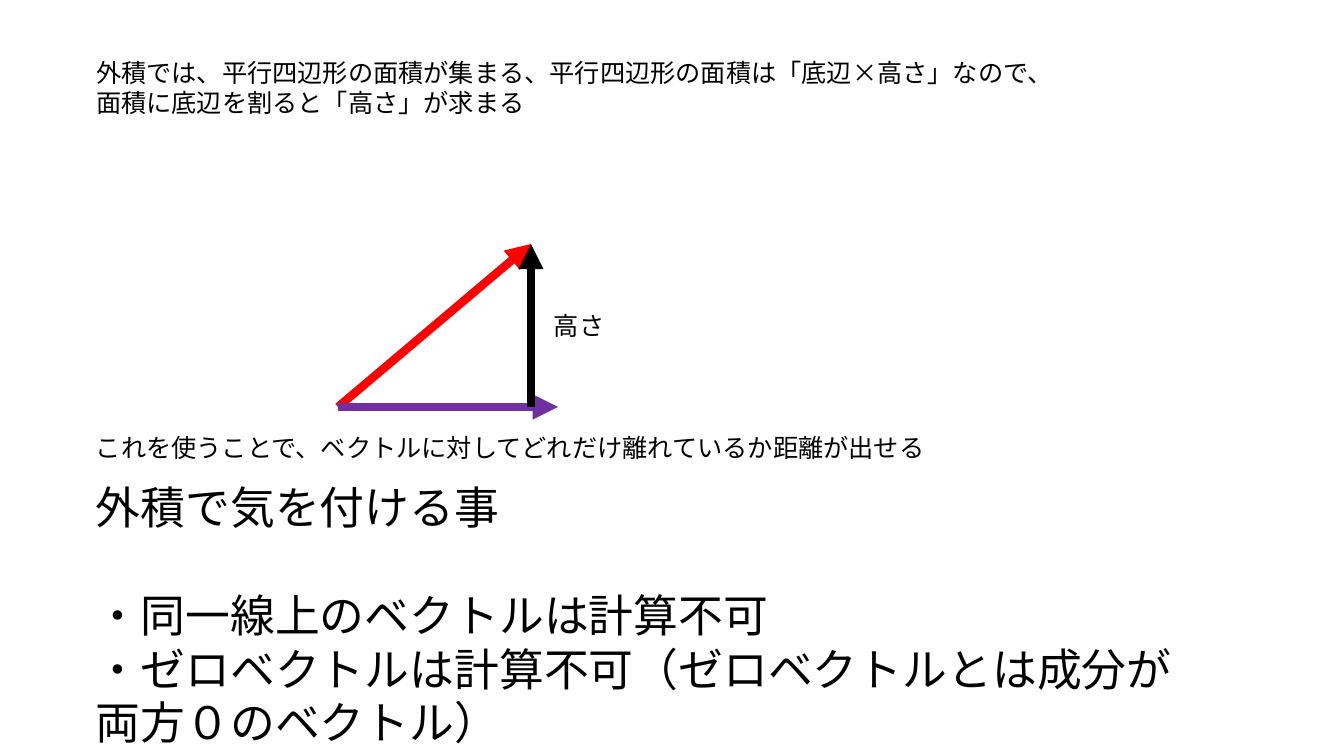
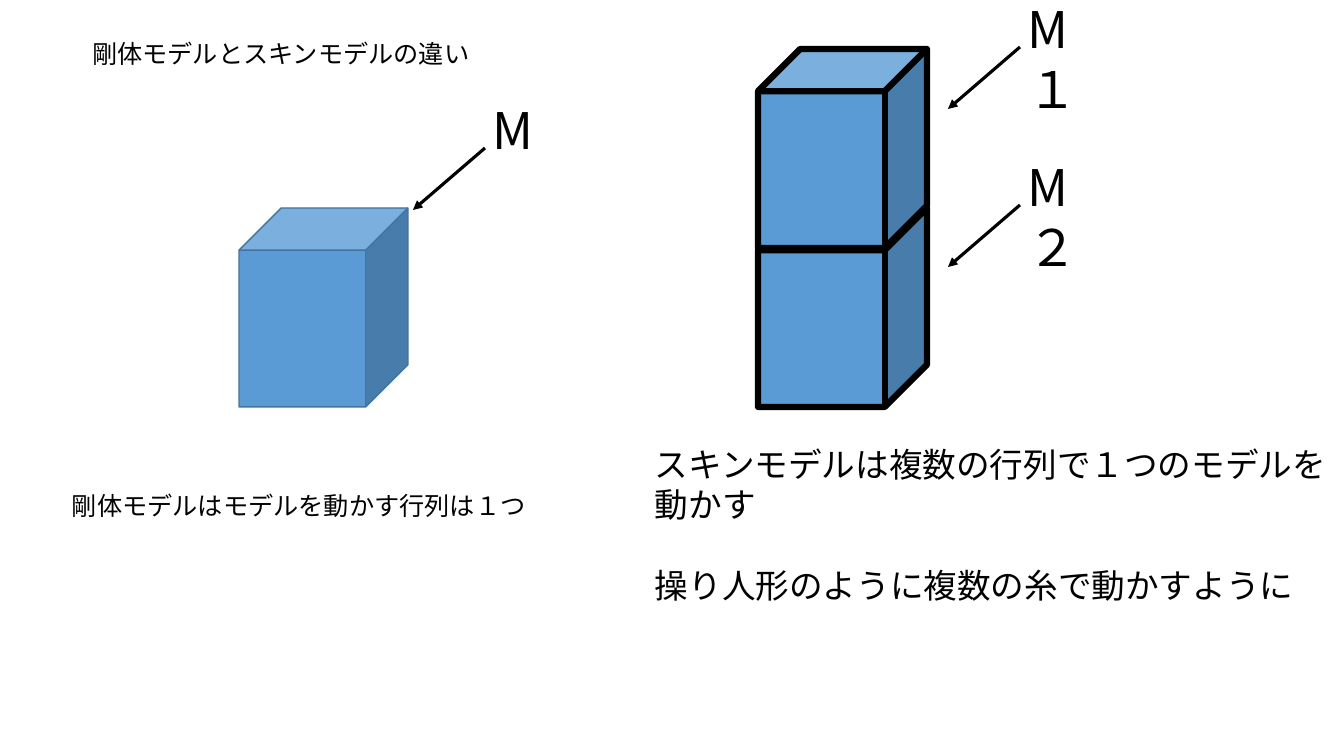
from lxml.etree import SubElement
from pptx import Presentation
from pptx.dml.color import RGBColor
from pptx.enum.lang import MSO_LANGUAGE_ID
from pptx.enum.shapes import MSO_CONNECTOR, MSO_SHAPE
from pptx.enum.text import MSO_ANCHOR, MSO_AUTO_SIZE, PP_ALIGN
from pptx.oxml.ns import qn
from pptx.util import Emu, Pt

FONT = "Noto Sans CJK JP"
BLACK = RGBColor(0x00, 0x00, 0x00)
RED = RGBColor(0xFF, 0x00, 0x00)
PURPLE = RGBColor(0x70, 0x30, 0xA0)
BLUE = RGBColor(0x5B, 0x9B, 0xD5)
DARK_BLUE = RGBColor(0x43, 0x73, 0x9E)

SLIDE_W, SLIDE_H = 1344, 756
EMU_PER_PX = 914400 / 100.8
LINE_HEIGHT = 1.2
GAP = "gap"  # the next paragraph starts one line lower

# Titles and texts: box (left, top, width, height), size, paragraphs
HEIGHT_TITLE = ((86, 52, 1100, 72), 18, [
    "外積では、平行四辺形の面積が集まる、平行四辺形の面積は「底辺×高さ」なので、",
    "面積に底辺を割ると「高さ」が求まる",
])
HEIGHT_TEXTS = [
    ((86, 427, 900, 40), 18, ["これを使うことで、ベクトルに対してどれだけ離れているか距離が出せる"]),
    ((86, 475, 1108, 281), 32, [
        "外積で気を付ける事",
        GAP,
        "・同一線上のベクトルは計算不可",
        "・ゼロベクトルは計算不可（ゼロベクトルとは成分が両方０のベクトル）",
    ]),
    ((544, 305, 72, 40), 18, ["高さ"]),
]
ORIGIN, APEX, FOOT, BASE_END = (338, 407), (531, 244), (531, 407), (558, 407)
VECTORS = [(ORIGIN, APEX, RED), (ORIGIN, BASE_END, PURPLE), (FOOT, APEX, BLACK)]

MODEL_TITLE = ((82, 33, 402, 40), 18, ["剛体モデルとスキンモデルの違い"])
MODEL_TEXTS = [
    ((62, 485, 479, 40), 18, ["剛体モデルはモデルを動かす行列は１つ"]),
    ((645, 439, 699, 173), 24, [
        "スキンモデルは複数の行列で１つのモデルを",
        "動かす",
        GAP,
        "操り人形のように複数の糸で動かすように",
    ]),
]
CUBE_W, CUBE_H, CUBE_TOP = 169, 199, 208
RIGID_X, SKIN_X, STACK_STEP = 239, 758, 159
# Matrix labels: text, where the arrow starts, width of the label
MATRICES = [("M", (485, 148), 68), ("M１", (1020, 47), 90), ("M２", (1020, 205), 90)]
ARROW_DX, ARROW_DY = -72, 62


def px(*lengths):
    return [Emu(round(n * EMU_PER_PX)) for n in lengths]


def fill_text(s, size, paragraphs):
    tf = s.text_frame
    tf.word_wrap = True
    tf.auto_size = MSO_AUTO_SIZE.NONE
    tf.vertical_anchor = MSO_ANCHOR.TOP
    p, gap = None, False
    for text in paragraphs:
        if text == GAP:
            gap = True
            continue
        p = tf.paragraphs[0] if p is None else tf.add_paragraph()
        p.alignment = PP_ALIGN.LEFT
        p.space_before = Pt(size * LINE_HEIGHT if gap else 0)
        gap = False
        r = p.add_run()
        r.text = text
        r.font.size = Pt(size)
        r.font.name = FONT
        r.font.color.rgb = BLACK
        r.font.language_id = MSO_LANGUAGE_ID.JAPANESE
        SubElement(r.font._element, qn("a:ea"), typeface=FONT)


def add_text(slide, box, size, paragraphs):
    fill_text(slide.shapes.add_textbox(*px(*box)), size, paragraphs)


def add_slide(prs, title, texts):
    slide = prs.slides.add_slide(prs.slide_layouts[5])
    box, size, paragraphs = title
    s = slide.shapes.title
    s.left, s.top, s.width, s.height = px(*box)
    fill_text(s, size, paragraphs)
    for text in texts:
        add_text(slide, *text)
    return slide


def add_arrow(slide, start, end, color, weight):
    s = slide.shapes.add_connector(MSO_CONNECTOR.STRAIGHT, *px(*start, *end))
    s.line.color.rgb = color
    s.line.width = Pt(weight)
    SubElement(s.line._get_or_add_ln(), qn("a:tailEnd"), type="triangle")
    SubElement(s._element.spPr, qn("a:effectLst"))


def add_cube(shapes, left, top, color, weight):
    s = shapes.add_shape(MSO_SHAPE.CUBE, *px(left, top, CUBE_W, CUBE_H))
    s.shadow.inherit = False
    s.fill.solid()
    s.fill.fore_color.rgb = BLUE
    s.line.color.rgb = color
    s.line.width = Pt(weight)


def build_height_slide(prs):
    slide = add_slide(prs, HEIGHT_TITLE, HEIGHT_TEXTS)
    for start, end, color in VECTORS:
        add_arrow(slide, start, end, color, 6)


def build_model_slide(prs):
    slide = add_slide(prs, MODEL_TITLE, MODEL_TEXTS)
    add_cube(slide.shapes, RIGID_X, CUBE_TOP, DARK_BLUE, 1)
    skin = slide.shapes.add_group_shape()
    for level in range(2):
        add_cube(skin.shapes, SKIN_X, CUBE_TOP - level * STACK_STEP, BLACK, 4.5)
    for label, (x, y), width in MATRICES:
        add_arrow(slide, (x, y), (x + ARROW_DX, y + ARROW_DY), BLACK, 2.25)
        add_text(slide, (x - 2, y - 54, width, 72), 36, [label])


def main():
    prs = Presentation()
    prs.slide_width, prs.slide_height = px(SLIDE_W, SLIDE_H)
    build_height_slide(prs)
    build_model_slide(prs)
    prs.save("out.pptx")


if __name__ == "__main__":
    main()
